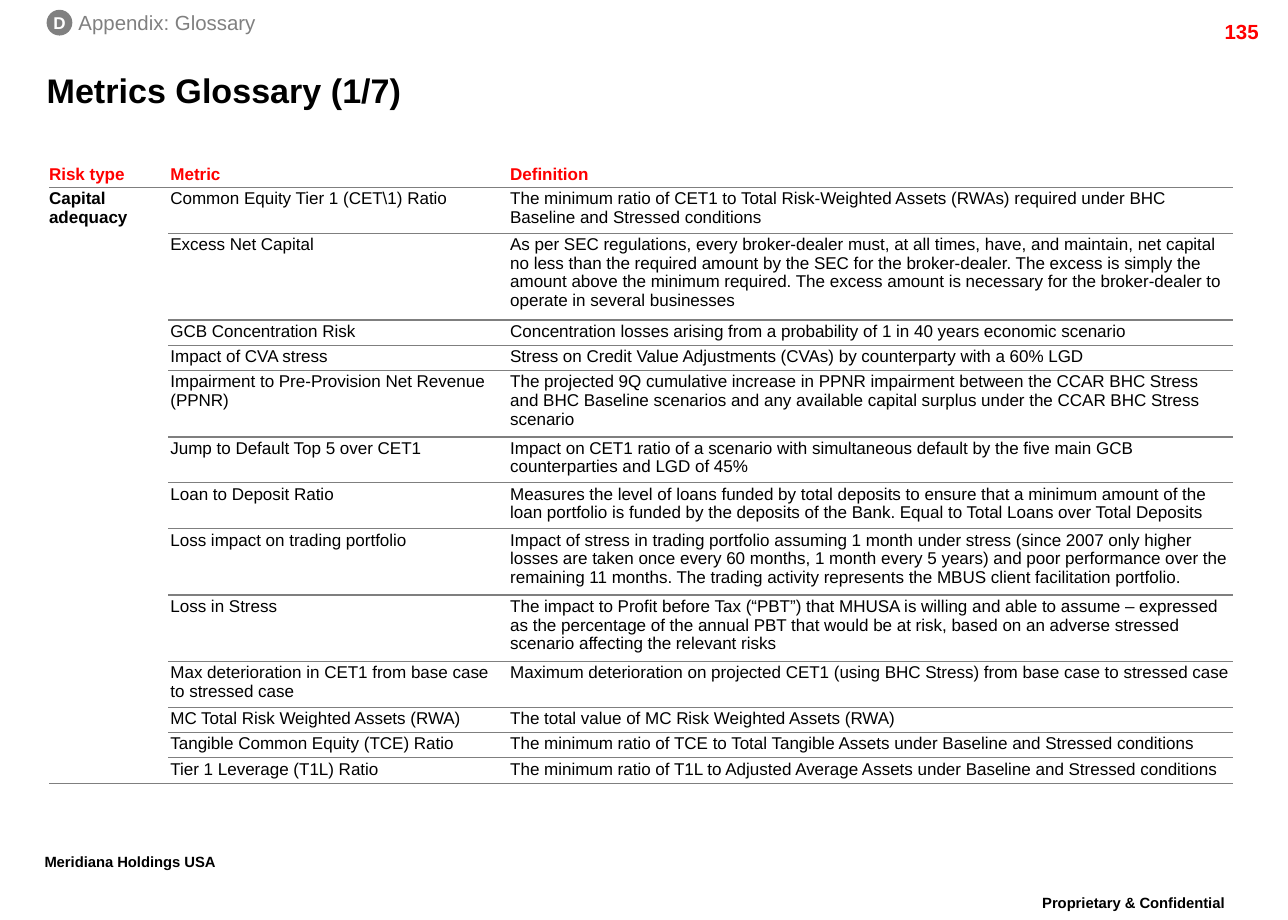
from lxml.etree import SubElement
from pptx import Presentation
from pptx.dml.color import RGBColor
from pptx.enum.shapes import MSO_SHAPE
from pptx.enum.text import MSO_ANCHOR, PP_ALIGN
from pptx.oxml import parse_xml
from pptx.oxml.ns import nsdecls, qn
from pptx.util import Inches, Pt

BLACK, WHITE, RED, GREY, RULE = "000000", "FFFFFF", "FF0000", "808080", "7F7F7F"
NO_GRID_STYLE = "{2D5ABB26-0587-4C30-8999-92F81FD0307C}"
HEADINGS = ("Risk type", "Metric", "Definition")
RISK_TYPE = "Capital adequacy"
METRICS = [
    (2, "Common Equity Tier 1 (CET\\1) Ratio",
     "The minimum ratio of CET1 to Total Risk-Weighted Assets (RWAs) required under BHC "
     "Baseline and Stressed conditions"),
    (4, "Excess Net Capital",
     "As per SEC regulations, every broker-dealer must, at all times, have, and maintain, "
     "net capital no less than the required amount by the SEC for the broker-dealer. The "
     "excess is simply the amount above the minimum required. The excess amount is "
     "necessary for the broker-dealer to operate in several businesses"),
    (1, "GCB Concentration Risk",
     "Concentration losses arising from a probability of 1 in 40 years economic scenario"),
    (1, "Impact of CVA stress",
     "Stress on Credit Value Adjustments (CVAs) by counterparty with a 60% LGD"),
    (3, "Impairment to Pre-Provision Net Revenue (PPNR)",
     "The projected 9Q cumulative increase in PPNR impairment between the CCAR BHC Stress "
     "and BHC Baseline scenarios and any available capital surplus under the CCAR BHC "
     "Stress scenario"),
    (2, "Jump to Default Top 5 over CET1",
     "Impact on CET1 ratio of a scenario with simultaneous default by the five main GCB "
     "counterparties and LGD of 45%"),
    (2, "Loan to Deposit Ratio",
     "Measures the level of loans funded by total deposits to ensure that a minimum amount "
     "of the loan portfolio is funded by the deposits of the Bank. Equal to Total Loans "
     "over Total Deposits"),
    (3, "Loss impact on trading portfolio",
     "Impact of stress in trading portfolio assuming 1 month under stress (since 2007 only "
     "higher losses are taken once every 60 months, 1 month every 5 years) and poor "
     "performance over the remaining 11 months. The trading activity represents the MBUS "
     "client facilitation portfolio."),
    (3, "Loss in Stress",
     "The impact to Profit before Tax (“PBT”) that MHUSA is willing and able to assume – "
     "expressed as the percentage of the annual PBT that would be at risk, based on an "
     "adverse stressed scenario affecting the relevant risks"),
    (2, "Max deterioration in CET1 from base case to stressed case",
     "Maximum deterioration on projected CET1 (using BHC Stress) from base case to "
     "stressed case"),
    (1, "MC Total Risk Weighted Assets (RWA)",
     "The total value of MC Risk Weighted Assets (RWA)"),
    (1, "Tangible Common Equity (TCE) Ratio",
     "The minimum ratio of TCE to Total Tangible Assets under Baseline and Stressed "
     "conditions"),
    (1, "Tier 1 Leverage (T1L) Ratio",
     "The minimum ratio of T1L to Adjusted Average Assets under Baseline and Stressed "
     "conditions"),
]


def colour(hex_string):
    return RGBColor.from_string(hex_string)


class GlossarySlide:
    """Draws text, badges and ruled tables on a grid of 105 columns by 75 rows."""

    def __init__(self, deck, font="Arial"):
        self.font = font
        self.unit = deck.slide_width / 105
        self.slide = deck.slides.add_slide(deck.slide_layouts[6])

    def cells(self, *counts):
        return [round(count * self.unit) for count in counts]

    def wording(self, frame, words, size, ink, bold=False, align=PP_ALIGN.LEFT, spacing=None):
        line = frame.paragraphs[0]
        line.alignment = align
        if spacing:
            line.line_spacing = spacing
        run = line.add_run()
        run.text = words
        run.font.name, run.font.size, run.font.bold = self.font, Pt(size), bold
        run.font.color.rgb = colour(ink)
        return run

    def pad(self, frame, x, y):
        frame.margin_left = frame.margin_right = Inches(x)
        frame.margin_top = frame.margin_bottom = Inches(y)

    def text(self, place, words, size, ink, bold=False, align=PP_ALIGN.LEFT,
             anchor=MSO_ANCHOR.TOP, padding=(0, 0), wrap=True, spacing=None):
        frame = self.slide.shapes.add_textbox(*self.cells(*place)).text_frame
        frame.word_wrap, frame.vertical_anchor = wrap, anchor
        self.pad(frame, *padding)
        return self.wording(frame, words, size, ink, bold, align, spacing)

    def footer(self, place, words):
        run = self.text(place, words, 15, BLACK, True, PP_ALIGN.CENTER,
                        padding=(0.1, 0.05), wrap=False, spacing=0.86)
        run.font._element.set("baseline", "30000")

    def badge(self, place, letter):
        disc = self.slide.shapes.add_shape(MSO_SHAPE.OVAL, *self.cells(*place))
        disc.shadow.inherit = False
        disc.fill.solid()
        disc.fill.fore_color.rgb = colour(GREY)
        disc.line.fill.background()
        frame = disc.text_frame
        frame.word_wrap, frame.vertical_anchor = False, MSO_ANCHOR.MIDDLE
        self.pad(frame, 0, 0)
        self.wording(frame, letter, 10, WHITE, True, PP_ALIGN.CENTER)

    def rule(self, cell, edges):
        properties = cell._tc.get_or_add_tcPr()
        for position, edge in enumerate(edges):
            line = parse_xml(f'<a:{edge} {nsdecls("a")} w="{Pt(0.75)}"/>')
            fill = SubElement(line, qn("a:solidFill"))
            SubElement(fill, qn("a:srgbClr")).set("val", RULE)
            properties.insert(position, line)

    def entry(self, cell, words, ink=BLACK, bold=False, left=0.02, edges=("lnT", "lnB")):
        cell.fill.background()
        cell.margin_left = Inches(left)
        cell.margin_right = cell.margin_top = cell.margin_bottom = Inches(0.02)
        self.wording(cell.text_frame, words, 10, ink, bold, spacing=0.98)
        self.rule(cell, edges)

    def glossary(self, left, top, widths, headings, risk_type, metrics):
        heights = [0.4 + 1.67 * lines for lines in [1] + [m[0] for m in metrics]]
        place = self.cells(left, top, sum(widths), sum(heights))
        table = self.slide.shapes.add_table(len(heights), len(widths), *place).table
        table.first_row = table.horz_banding = False
        table._tbl.tblPr.find(qn("a:tableStyleId")).text = NO_GRID_STYLE
        for column, width in zip(table.columns, self.cells(*widths)):
            column.width = width
        for row, height in zip(table.rows, self.cells(*heights)):
            row.height = height
        for column, heading in enumerate(headings):
            cell = table.cell(0, column)
            self.entry(cell, heading, RED, True, 0.02 if column else 0, ("lnB",))
            cell.vertical_anchor = MSO_ANCHOR.MIDDLE
        last = table.cell(len(metrics), 0)
        table.cell(1, 0).merge(last)
        self.entry(table.cell(1, 0), risk_type, BLACK, True, 0)
        self.rule(last, ("lnB",))
        for row, (_, metric, definition) in enumerate(metrics, 1):
            self.entry(table.cell(row, 1), metric)
            self.entry(table.cell(row, 2), definition)


def main():
    deck = Presentation()
    deck.slide_width, deck.slide_height = Inches(10.5), Inches(7.5)
    page = GlossarySlide(deck)
    page.footer((81.5, 72.5, 21.8, 2.5), "Proprietary & Confidential")
    page.footer((2.6, 69.1, 16, 3.5), "Meridiana Holdings USA")
    page.text((93.6, 1.1, 10, 2.4), "135", 12, RED, True, PP_ALIGN.RIGHT,
              padding=(0.1, 0.05))
    page.glossary(4, 13.2, (9.7, 27.7, 59.1), HEADINGS, RISK_TYPE, METRICS)
    page.text((3.8, 4.9, 94.8, 4.8), "Metrics Glossary (1/7)", 20, BLACK, True,
              anchor=MSO_ANCHOR.MIDDLE)
    page.text((6.4, 0.8, 14.6, 2), "Appendix: Glossary", 12, GREY, wrap=False)
    page.badge((3.8, 0.8, 2.1, 2.1), "D")
    deck.save("out.pptx")


if __name__ == "__main__":
    main()
